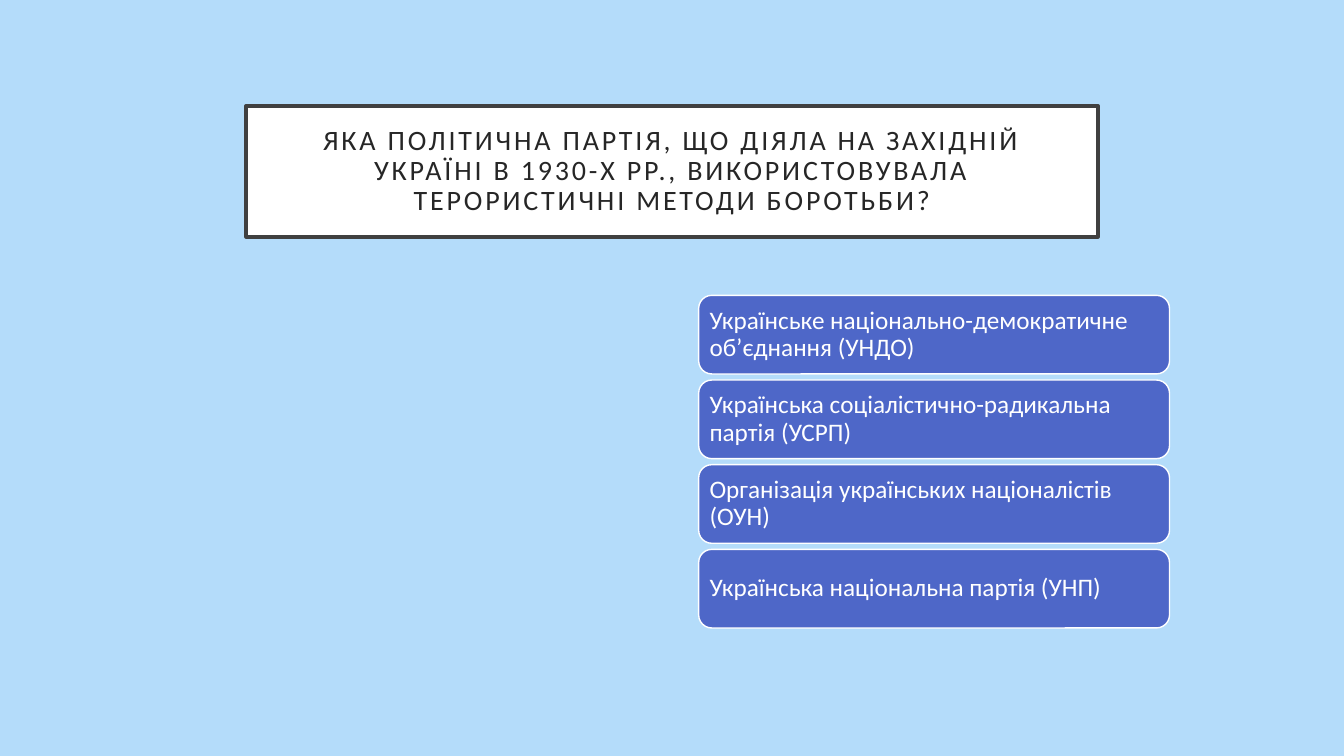
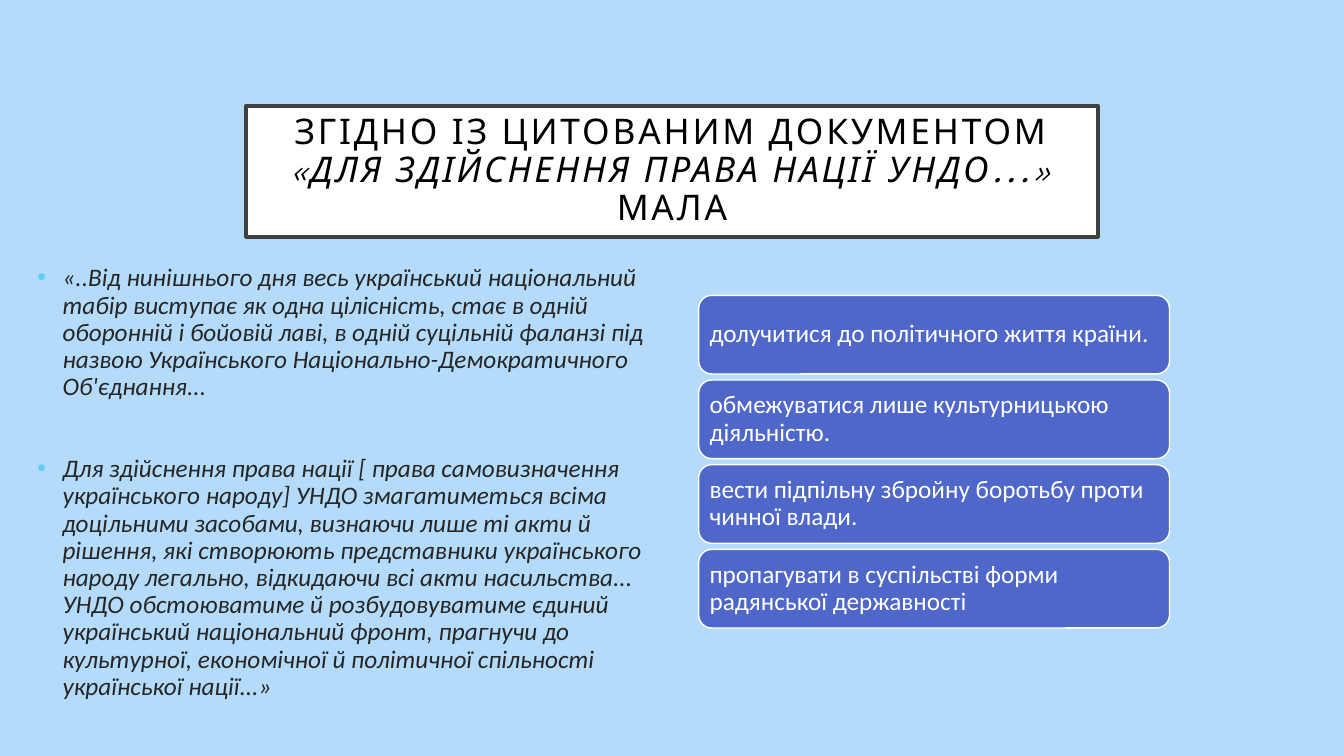
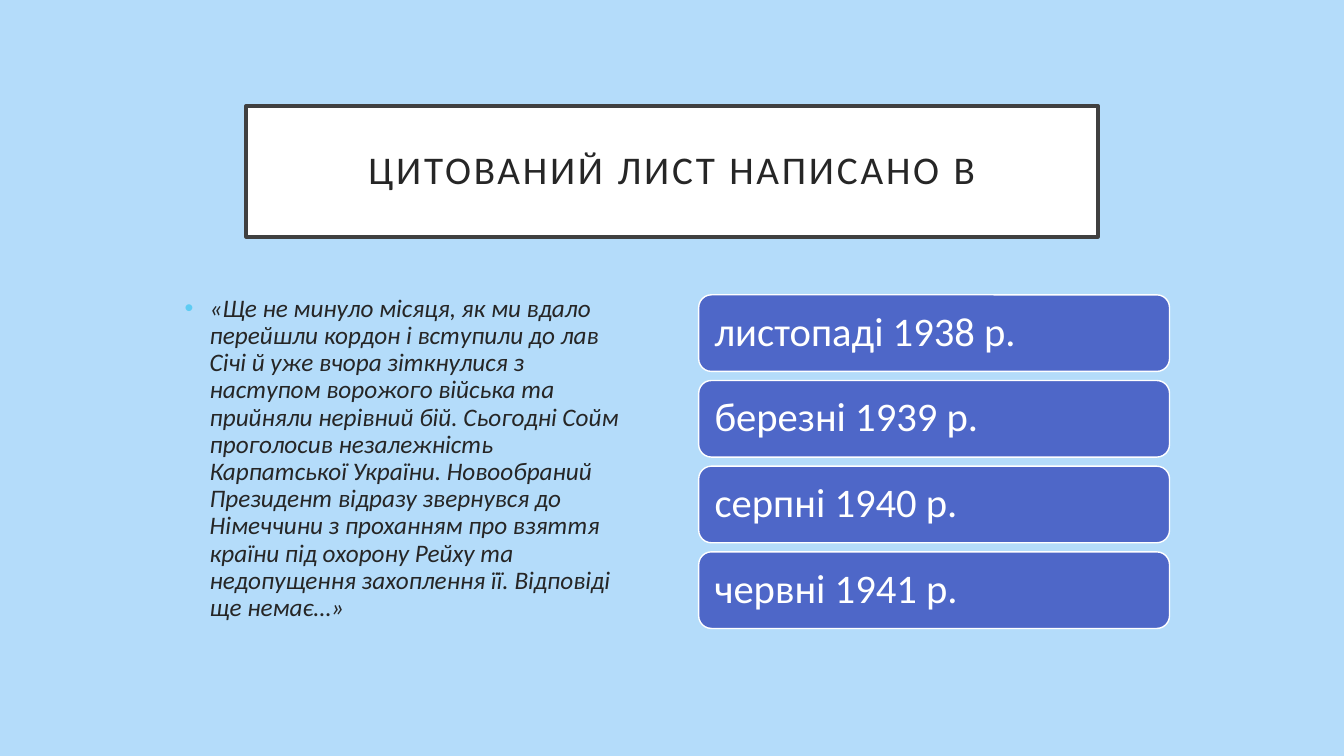
from pptx import Presentation
from pptx.dml.color import RGBColor
from pptx.enum.shapes import MSO_SHAPE as Shape
from pptx.enum.text import MSO_ANCHOR as Anchor, MSO_AUTO_SIZE as AutoSize, PP_ALIGN as Align
from pptx.oxml.ns import qn
from pptx.util import Inches, Pt
from lxml.etree import SubElement

SLIDE_W, SLIDE_H = 13.33, 7.5
TITLE_W, TITLE_TOP, TITLE_H = 8.45, 1.05, 1.3
COLUMN_W, ANSWERS_LEFT, ANSWERS_MIDDLE = 4.67, 6.93, 4.58
SKY, WHITE, FRAME, INK, BLACK = "B4DCFA", "FFFFFF", "404040", "262626", "000000"
ANSWER, BULLET = "4E67C8", "5ECCF3"
FONT = "Calibri"

PARTIES = [
    "Українське національно-демократичне об’єднання (УНДО)",
    "Українська соціалістично-радикальна партія (УСРП)",
    "Організація українських націоналістів (ОУН)",
    "Українська національна партія (УНП)",
]
GOALS = [
    "долучитися до політичного життя країни.",
    "обмежуватися лише культурницькою діяльністю.",
    "вести підпільну збройну боротьбу проти чинної влади.",
    "пропагувати в суспільстві форми радянської державності",
]
DATES = ["листопаді 1938 р.", "березні 1939 р.", "серпні 1940 р.", "червні 1941 р."]
DOCUMENT = [
    "«..Від нинішнього дня весь український національний табір виступає як одна цілісність, "
    "стає в одній оборонній і бойовій лаві, в одній суцільній фаланзі під назвою "
    "Українського Національно-Демократичного Об'єднання...",
    "Для здійснення права нації [ права самовизначення українського народу] УНДО "
    "змагатиметься всіма доцільними засобами, визнаючи лише ті акти й рішення, які "
    "створюють представники українського народу легально, відкидаючи всі акти "
    "насильства... УНДО обстоюватиме й розбудовуватиме єдиний український національний "
    "фронт, прагнучи до культурної, економічної й політичної спільності української "
    "нації...»",
]
LETTER = [
    "«Ще не минуло місяця, як ми вдало перейшли кордон і вступили до лав Січі й уже вчора "
    "зіткнулися з наступом ворожого війська та прийняли нерівний бій. Сьогодні Сойм "
    "проголосив незалежність Карпатської України. Новообраний Президент відразу звернувся "
    "до Німеччини з проханням про взяття країни під охорону Рейху та недопущення "
    "захоплення її. Відповіді ще немає…»",
]


def rgb(color):
    """Turn a hex string into a colour."""
    return RGBColor.from_string(color)


def place(s, left, top, width, height):
    """Move and size a shape, in inches."""
    s.left, s.top, s.width, s.height = map(Inches, (left, top, width, height))


def paint(s, fill, line, width):
    """Give a shape its fill and outline."""
    s.fill.solid()
    s.fill.fore_color.rgb = rgb(fill)
    s.line.color.rgb = rgb(line)
    s.line.width = Pt(width)


def setup_frame(s, anchor, margins=None):
    """Prepare a shape's text frame and return it."""
    tf = s.text_frame
    tf.word_wrap, tf.auto_size, tf.vertical_anchor = True, AutoSize.NONE, anchor
    if margins is not None:
        tf.margin_left = tf.margin_right = tf.margin_top = tf.margin_bottom = Inches(margins)
    return tf


def write(p, text, size=18, color=INK, font=FONT, italic=False, spacing=0, align=Align.LEFT):
    """Add a formatted run to a paragraph."""
    p.alignment, p.line_spacing = align, 0.9
    r = p.add_run()
    r.text = text
    r.font.name, r.font.size, r.font.italic = font, Pt(size), italic
    r.font.color.rgb = rgb(color)
    if spacing:
        r.font._element.set("spc", str(spacing * 100))


def add_bullet(p):
    """Give a paragraph a hanging coloured bullet."""
    pPr = p._p.get_or_add_pPr()
    pPr.set("marL", str(Inches(0.25)))
    pPr.set("indent", str(-Inches(0.25)))
    SubElement(SubElement(pPr, qn("a:buClr")), qn("a:srgbClr")).set("val", BULLET)
    SubElement(pPr, qn("a:buChar")).set("char", "•")


def add_title(slide, *parts, **style):
    """Fill the framed title; every second part is italic."""
    s = slide.shapes.title
    place(s, (SLIDE_W - TITLE_W) / 2, TITLE_TOP, TITLE_W, TITLE_H)
    paint(s, WHITE, FRAME, 2.5)
    p = setup_frame(s, Anchor.MIDDLE, 0.2).paragraphs[0]
    for i, text in enumerate(parts):
        write(p, text, italic=i % 2 == 1, spacing=2, align=Align.CENTER, **style)


def add_quote(slide, paragraphs, box):
    """Fill the body with bulleted italic paragraphs."""
    s = slide.placeholders[1]
    place(s, *box)
    tf = setup_frame(s, Anchor.TOP)
    for i, text in enumerate(paragraphs):
        p = tf.add_paragraph() if i else tf.paragraphs[0]
        p.space_before = Pt(39 if i else 0)
        add_bullet(p)
        write(p, text, italic=True)


def add_answers(slide, answers, height=0.78, gap=0.06, margin=0.07, size=18):
    """Stack the answer cards around the column's middle."""
    pitch = height + gap
    top = ANSWERS_MIDDLE - (len(answers) * pitch - gap) / 2
    for i, text in enumerate(answers):
        box = (ANSWERS_LEFT, top + i * pitch, COLUMN_W, height)
        s = slide.shapes.add_shape(Shape.ROUNDED_RECTANGLE, *map(Inches, box))
        s.shadow.inherit = False
        paint(s, ANSWER, WHITE, 1)
        write(setup_frame(s, Anchor.MIDDLE, margin).paragraphs[0], text, size=size, color=WHITE)


def main():
    """Build the three question slides."""
    prs = Presentation()
    prs.slide_width, prs.slide_height = Inches(SLIDE_W), Inches(SLIDE_H)
    fill = prs.slide_master.background.fill
    fill.solid()
    fill.fore_color.rgb = rgb(SKY)
    with_body, title_only = prs.slide_layouts[1], prs.slide_layouts[5]

    slide = prs.slides.add_slide(title_only)
    add_title(slide, "ЯКА ПОЛІТИЧНА ПАРТІЯ, ЩО ДІЯЛА НА ЗАХІДНІЙ УКРАЇНІ В 1930-Х РР., "
              "ВИКОРИСТОВУВАЛА ТЕРОРИСТИЧНІ МЕТОДИ БОРОТЬБИ?", size=20)
    add_answers(slide, PARTIES)

    slide = prs.slides.add_slide(with_body)
    add_title(slide, "ЗГІДНО ІЗ ЦИТОВАНИМ ДОКУМЕНТОМ ", "«ДЛЯ ЗДІЙСНЕННЯ ПРАВА НАЦІЇ УНДО...» ",
              "МАЛА", size=25.2, font="League Spartan", color=BLACK)
    add_quote(slide, DOCUMENT, (0.27, 2.58, 6.4, 4.46))
    add_answers(slide, GOALS)

    slide = prs.slides.add_slide(with_body)
    add_title(slide, "ЦИТОВАНИЙ ЛИСТ НАПИСАНО В", size=28)
    add_quote(slide, LETTER, (1.73, 2.88, COLUMN_W, 3.39))
    add_answers(slide, DATES, height=0.76, gap=0.09, margin=0.12, size=29)

    prs.save("out.pptx")


if __name__ == "__main__":
    main()
